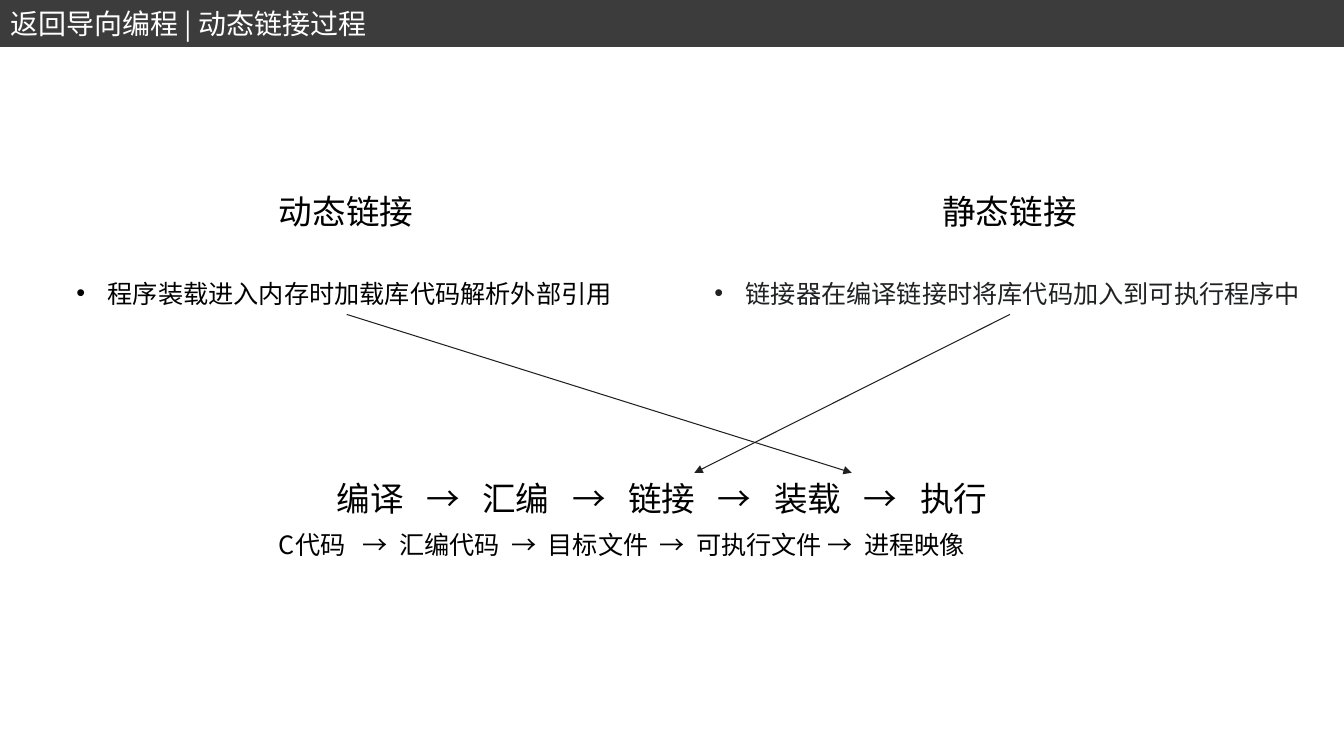
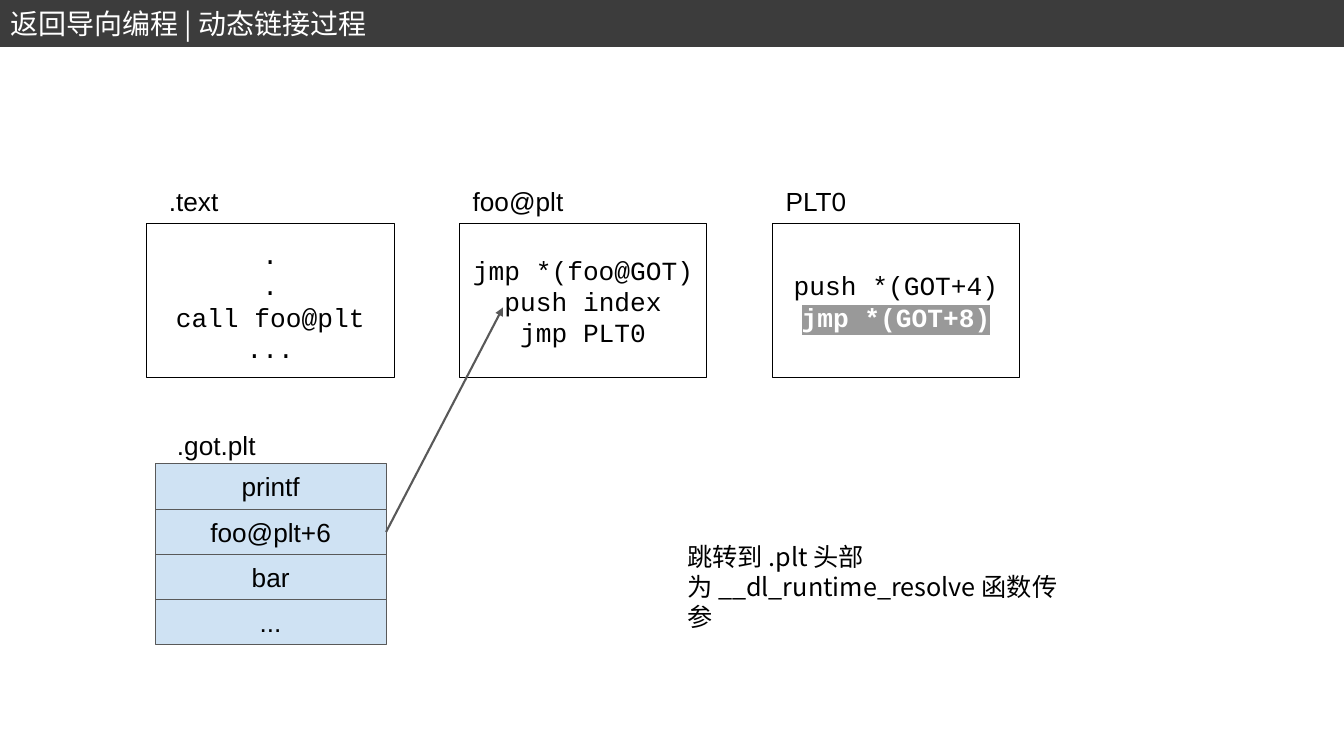
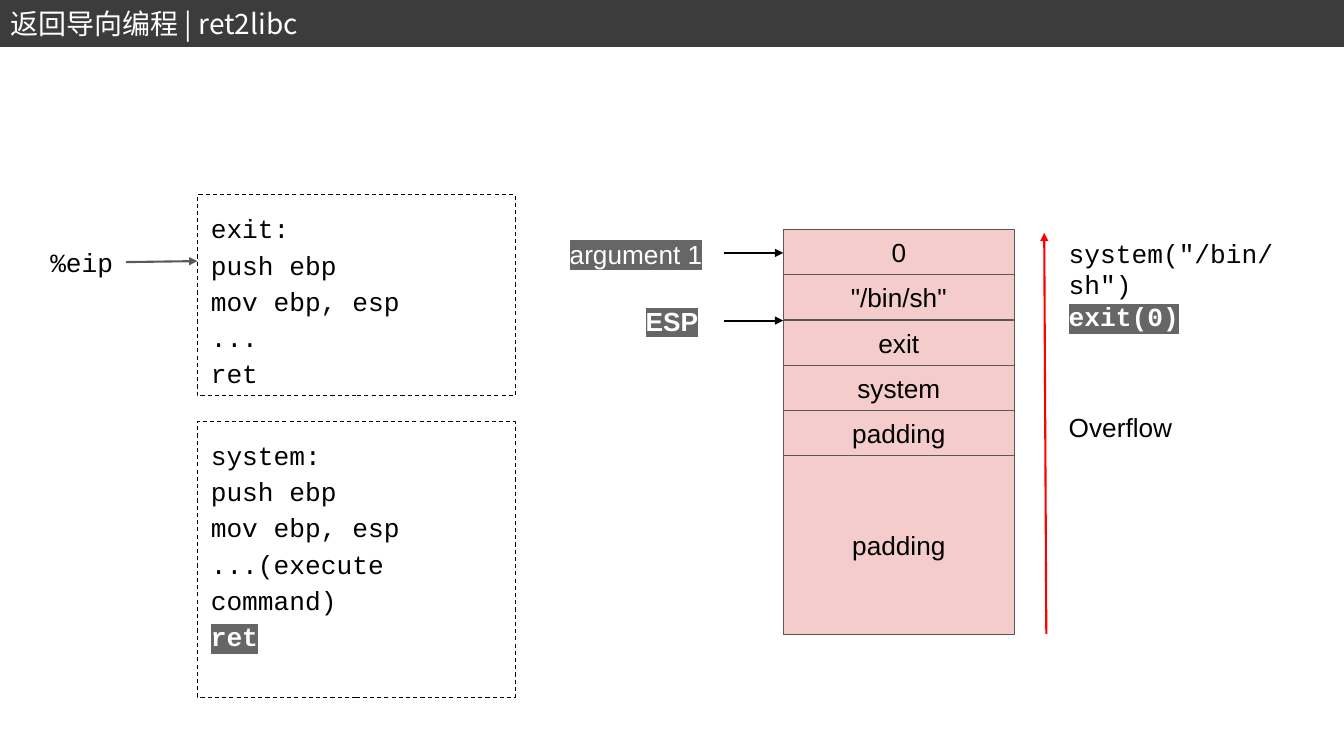
"""Build three slides on dynamic linking and ret2libc."""
import pptx
import pptx.dml.color
import pptx.enum.dml
import pptx.enum.shapes
import pptx.enum.text
import pptx.oxml
import pptx.oxml.ns
import pptx.util

Pt = pptx.util.Pt
ALIGN = pptx.enum.text.PP_ALIGN
ANCHOR = pptx.enum.text.MSO_ANCHOR
RECT = pptx.enum.shapes.MSO_SHAPE.RECTANGLE

WIDTH, HEIGHT = 960, 540
BAND_TOP, BAND_HEIGHT = 0.7, 31.7
CJK, SANS, MONO = "Noto Sans CJK SC", "Arial", "Courier New"
BLACK, WHITE, GRAY = "000000", "FFFFFF", "595959"
BAND, INK, ARROW = "3C3C3C", "202122", "202020"
BLUE, PINK, RED = "CFE2F3", "F4CCCC", "FF0000"
LIGHT_MARK, DARK_MARK = "999999", "666666"
DIAGRAM_SIZE, DIAGRAM_INSET = 18.7, 9.6

LINKING_TITLE = "返回导向编程 | 动态链接过程"
RET2LIBC_TITLE = "返回导向编程 | ret2libc"

LINK_KINDS = [
    ("动态链接", (192.2, 132.5), "程序装载进入内存时加载库代码解析外部引用", (47.5, 401), BLACK,
     (247.7, 608.4)),
    ("静态链接", (666, 132.5), "链接器在编译链接时将库代码加入到可执行程序中", (503.3, 437), INK,
     (721.4, 496)),
]
STAGES = [("编译", 48), ("汇编", 48), ("链接", 48), ("装载", 48), ("执行", 48)]
PRODUCTS = [("C代码", 52), ("汇编代码", 72), ("目标文件", 72), ("可执行文件", 86), ("进程映像", 72)]

CODE_BOXES = [
    (".text", 111, [".", ".", "call foo@plt", "..."], None),
    ("foo@plt", 328, ["jmp *(foo@GOT)", "push index", "jmp PLT0"], None),
    ("PLT0", 551.5, ["push *(GOT+4)", "jmp *(GOT+8)"], LIGHT_MARK),
]
GOT_CELLS = [(name, 32.25) for name in ("printf", "foo@plt+6", "bar", "...")]
RESOLVE_NOTE = ["跳转到 .plt 头部", "为 __dl_runtime_resolve 函数传参"]

STACK_CELLS = [(name, 32.25) for name in ("0", '"/bin/sh"', "exit", "system", "padding")]
STACK_CELLS.append(("padding", 128.2))
FUNCTIONS = [
    (139, 143.7, ["exit:", "push ebp", "mov ebp, esp", "...", "ret"], None),
    (301, 197.3, ["system:", "push ebp", "mov ebp, esp", "...(execute command)", "ret"], DARK_MARK),
]
POINTERS = [
    ("argument 1", (395.3, 164.9, 118, 32.4), 180.7, False),
    ("ESP", (446.4, 213.1, 67, 32.4), 229, True),
]
CALLS = ['system("/bin/sh")', "exit(0)"]


def rgb(value):
    """Return the colour of a hex string."""
    return pptx.dml.color.RGBColor.from_string(value)


def add_xml(parent, xml):
    """Append a DrawingML element to a parent and return it."""
    ns = pptx.oxml.ns.nsdecls("a")
    element = pptx.oxml.parse_xml(f"<a:root {ns}>{xml}</a:root>")[0]
    parent.append(element)
    return element


def write(sp, lines, size, font, color=BLACK, inset=None, align=ALIGN.LEFT,
          anchor=ANCHOR.TOP, spacing=None, mark=None, bold=True, bullet=False, stops=()):
    """Write lines into a shape; mark highlights the last one."""
    tf = sp.text_frame
    tf.word_wrap = True
    tf.auto_size = pptx.enum.text.MSO_AUTO_SIZE.NONE
    tf.vertical_anchor = anchor
    across, down = (7.2, 3.6) if inset is None else (inset, inset)
    tf.margin_left = tf.margin_right = Pt(across)
    tf.margin_top = tf.margin_bottom = Pt(down)
    tf.text = "\n".join(lines)
    for i, p in enumerate(tf.paragraphs):
        p.alignment = align
        if spacing:
            p.line_spacing = spacing
        pPr = p._p.get_or_add_pPr()
        if bullet:
            pPr.set("marL", str(Pt(22.3)))
            pPr.set("indent", str(-Pt(22.3)))
            add_xml(pPr, '<a:buFont typeface="Arial"/>')
            add_xml(pPr, '<a:buChar char="•"/>')
        if stops:
            tabs = "".join(f'<a:tab pos="{Pt(x)}" algn="l"/>' for x in stops)
            add_xml(pPr, f"<a:tabLst>{tabs}</a:tabLst>")
        marked = mark and i == len(lines) - 1
        for r in p.runs:
            r.font.size = Pt(size)
            r.font.name = font
            r.font.bold = bool(marked and bold)
            r.font.color.rgb = rgb(WHITE if marked else color)
            rPr = r._r.get_or_add_rPr()
            add_xml(rPr, f'<a:ea typeface="{font}"/>')
            if marked:
                highlight = add_xml(rPr, f'<a:highlight><a:srgbClr val="{mark}"/></a:highlight>')
                rPr.find(pptx.oxml.ns.qn("a:latin")).addprevious(highlight)


def add_text(s, box, lines, size=DIAGRAM_SIZE, font=SANS, **style):
    """Add a text box."""
    sp = s.shapes.add_textbox(*map(Pt, box))
    write(sp, lines, size, font, **style)


def add_label(s, box, lines, **style):
    """Add a text box with the wide inset of the diagrams."""
    add_text(s, box, lines, inset=DIAGRAM_INSET, **style)


def add_rect(s, box, fill=None, line=BLACK, width=0.75, dashed=False):
    """Add a rectangle."""
    sp = s.shapes.add_shape(RECT, *map(Pt, box))
    sp.shadow.inherit = False
    if fill:
        sp.fill.solid()
        sp.fill.fore_color.rgb = rgb(fill)
    else:
        sp.fill.background()
    sp.line.color.rgb = rgb(line)
    sp.line.width = Pt(width)
    if dashed:
        sp.line.dash_style = pptx.enum.dml.MSO_LINE.DASH
    return sp


def add_arrow(s, start, end, color=BLACK, width=1.5):
    """Add a straight arrow."""
    c = s.shapes.add_connector(pptx.enum.shapes.MSO_CONNECTOR.STRAIGHT, *map(Pt, start + end))
    c.line.color.rgb = rgb(color)
    c.line.width = Pt(width)
    spPr = c._element.spPr
    add_xml(spPr.find(pptx.oxml.ns.qn("a:ln")), '<a:tailEnd type="triangle"/>')
    add_xml(spPr, "<a:effectLst/>")


def add_cells(s, left, top, cells, fill):
    """Stack memory cells downwards."""
    for name, height in cells:
        sp = add_rect(s, (left, top, 165, height), fill, GRAY)
        write(sp, [name], DIAGRAM_SIZE, SANS, inset=DIAGRAM_INSET,
              align=ALIGN.CENTER, anchor=ANCHOR.MIDDLE)
        top += height


def add_flow(s, box, steps, size, gap):
    """Write steps joined by arrows, each part on its own tab stop."""
    stops, x = [], 0
    for _, width in steps[:-1]:
        stops += [x + width + gap, x + width + size + 2 * gap]
        x = stops[-1]
    add_text(s, box, ["\t→\t".join(name for name, _ in steps)], size, CJK, stops=stops)


def add_slide(prs, title):
    """Add a slide with its title in the band."""
    s = prs.slides.add_slide(prs.slide_layouts[5])
    sp = s.shapes.title
    sp.left, sp.top, sp.width, sp.height = map(Pt, (0, BAND_TOP, 444, BAND_HEIGHT))
    write(sp, [title], 20, CJK, color=WHITE)
    return s


def add_band(s):
    """Put the title band on the layout of a slide."""
    sp = add_rect(s, (0, BAND_TOP, WIDTH, BAND_HEIGHT), BAND, BAND, 2)
    s.slide_layout.shapes.element.insert(2, sp._element)


def linking_slide(prs):
    """Compare dynamic and static linking."""
    s = add_slide(prs, LINKING_TITLE)
    add_band(s)
    for name, corner, detail, (left, width), color, (start, end) in LINK_KINDS:
        add_text(s, corner + (111.6, 36), [name], 24, CJK)
        add_text(s, (left, 195.1, width, 28.8), [detail], 18, CJK, color=color, bullet=True)
        add_arrow(s, (start, 224.6), (end, 337.7), ARROW, 0.75)
    add_flow(s, (233.3, 337.7, 524, 36), STAGES, 24, 16.1)
    add_flow(s, (192.2, 374.4, 525, 28.8), PRODUCTS, 18, 8)


def plt_slide(prs):
    """Show the jump through the PLT and the GOT."""
    s = add_slide(prs, LINKING_TITLE)
    for i, (name, label_left, code, mark) in enumerate(CODE_BOXES):
        sp = add_rect(s, (104.5 + 223.5 * i, 160, 177, 110))
        write(sp, code, DIAGRAM_SIZE, MONO, inset=DIAGRAM_INSET, align=ALIGN.CENTER,
              anchor=ANCHOR.MIDDLE, mark=mark)
        add_label(s, (label_left, 123.1, 93, 42.5), [name])
    add_label(s, (116.8, 296.8, 93, 42.5), [".got.plt"])
    add_cells(s, 110.8, 331.4, GOT_CELLS, BLUE)
    add_arrow(s, (275.8, 380), (359.3, 219.6), GRAY)
    add_text(s, (483.8, 383, 296, 51), RESOLVE_NOTE, 18, CJK)


def ret2libc_slide(prs):
    """Show the overflowed stack and the functions it calls."""
    s = add_slide(prs, RET2LIBC_TITLE)
    add_cells(s, 559.5, 164.1, STACK_CELLS, PINK)
    for name, box, y, bold in POINTERS:
        add_label(s, box, [name], align=ALIGN.CENTER, anchor=ANCHOR.MIDDLE,
                  mark=DARK_MARK, bold=bold)
        add_arrow(s, (517, y), (559.5, y))
    add_arrow(s, (747.4, 452.9), (745.9, 166.3), RED)
    add_label(s, (753.8, 284.4, 110, 32.4), ["Overflow"])
    add_label(s, (753.8, 159.8, 196.6, 72), CALLS, font=MONO, mark=DARK_MARK)
    add_label(s, (22.8, 173, 67.7, 28.8), ["%eip"], font=MONO,
              align=ALIGN.RIGHT, anchor=ANCHOR.MIDDLE)
    add_arrow(s, (90, 187.2), (141, 186.5), GRAY)
    for top, height, code, mark in FUNCTIONS:
        sp = add_rect(s, (141, top, 227, height), dashed=True)
        write(sp, code, DIAGRAM_SIZE, MONO, inset=DIAGRAM_INSET, spacing=1.15, mark=mark)


def main():
    """Build and save the presentation."""
    prs = pptx.Presentation()
    prs.slide_width, prs.slide_height = Pt(WIDTH), Pt(HEIGHT)
    linking_slide(prs)
    plt_slide(prs)
    ret2libc_slide(prs)
    prs.save("out.pptx")


if __name__ == "__main__":
    main()
